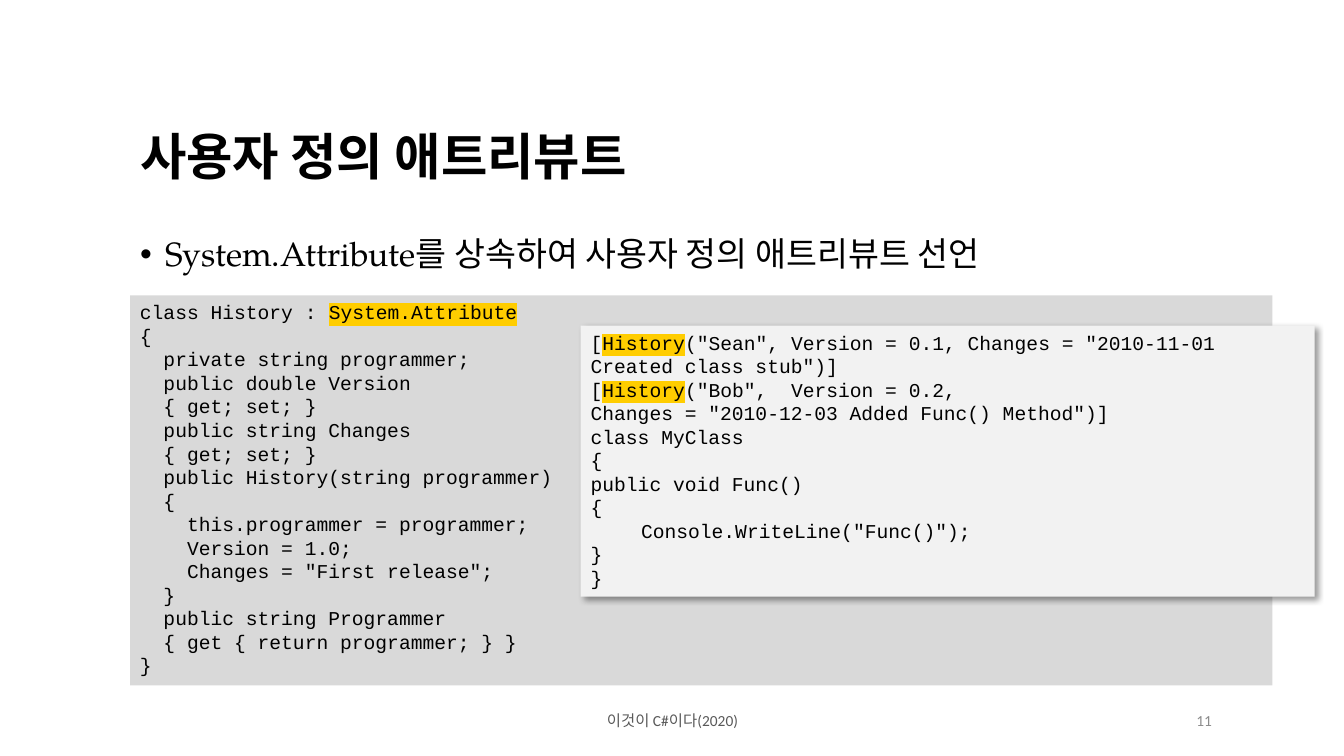
from lxml.etree import SubElement
from pptx import Presentation
from pptx.dml.color import RGBColor
from pptx.enum.shapes import MSO_SHAPE as Preset
from pptx.enum.text import MSO_ANCHOR as Anchor, PP_ALIGN as Align
from pptx.oxml.ns import qn
from pptx.util import Emu, Pt

EMU_PER_PX = 9144
BODY_FONT = "TeX Gyre Pagella"
CODE_FORMAT = {"name": "Courier New", "size": Pt(14)}
HIGHLIGHT = "FFCD00"

HISTORY_CODE = """class History : System.Attribute
{
  private string programmer;
  public double Version
  { get; set; }
  public string Changes
  { get; set; }
  public History(string programmer)
  {
    this.programmer = programmer;
    Version = 1.0;
    Changes = "First release";
  }
  public string Programmer
  { get { return programmer; } }
}"""

USAGE_CODE = """[History("Sean", Version = 0.1, Changes = "2010-11-01 Created class stub")]
[History("Bob",  Version = 0.2,
Changes = "2010-12-03 Added Func() Method")]
class MyClass
{
public void Func()
{
\tConsole.WriteLine("Func()");
}
}"""


def px(*lengths):
    return [Emu(length * EMU_PER_PX) for length in lengths]


def color(value):
    return RGBColor.from_string(value)


def apply_format(target, values):
    for name, value in values.items():
        setattr(target, name, value)


def add_xml(parent, tag, **attributes):
    return SubElement(parent, qn(tag), {key: str(value) for key, value in attributes.items()})


def add_span(para, text, font_format, ink="000000", highlight=None):
    span = para.add_run()
    span.text = text
    apply_format(span.font, font_format)
    span.font.color.rgb = color(ink)
    if highlight:
        props = span.font._element
        mark = add_xml(props, "a:highlight")
        add_xml(mark, "a:srgbClr", val=highlight)
        props.find(qn("a:solidFill")).addnext(mark)


def add_label(page, area, text, font_format, ink="000000", frame_format=None, para_format=None, bullet=None):
    """Add a one-paragraph text box, bulleted when a bullet sign is given."""
    frame = page.shapes.add_textbox(*px(*area)).text_frame
    apply_format(frame, {"word_wrap": True, **(frame_format or {})})
    para = frame.paragraphs[0]
    apply_format(para, para_format or {})
    if bullet:
        props = para._p.get_or_add_pPr()
        indent = px(25)[0]
        props.set("marL", str(indent))
        props.set("indent", str(-indent))
        add_xml(props, "a:buFont", typeface="Arial")
        add_xml(props, "a:buChar", char=bullet)
    add_span(para, text, font_format, ink)


def add_shadow(box):
    effects = box._element.spPr.find(qn("a:effectLst"))
    shadow = add_xml(effects, "a:outerShdw", blurRad=Pt(4), dist=Pt(3), dir=45 * 60000, algn="tl", rotWithShape=0)
    add_xml(add_xml(shadow, "a:srgbClr", val="000000"), "a:alpha", val=40000)


def add_code_box(page, area, code, fill, marked):
    """Add a filled box of code lines, highlighting one word wherever it is marked."""
    box = page.shapes.add_shape(Preset.RECTANGLE, *px(*area))
    box.shadow.inherit = False
    box.fill.solid()
    box.fill.fore_color.rgb = color(fill)
    box.line.fill.background()
    frame = box.text_frame
    apply_format(frame, {"word_wrap": True, "vertical_anchor": Anchor.TOP})
    for number, line in enumerate(code.split("\n")):
        para = frame.add_paragraph() if number else frame.paragraphs[0]
        para.alignment = Align.LEFT
        if "\t" in line:
            tabs = add_xml(para._p.get_or_add_pPr(), "a:tabLst")
            add_xml(tabs, "a:tab", pos=px(50)[0], algn="l")
        before, word, after = line.partition(marked) if number < 2 else (line, "", "")
        for text, highlight in ((before, None), (word, HIGHLIGHT), (after, None)):
            if text:
                add_span(para, text, CODE_FORMAT, highlight=highlight)
    return box


def main():
    deck = Presentation()
    deck.slide_width, deck.slide_height = px(1333, 750)
    page = deck.slides.add_slide(deck.slide_layouts[6])

    footer_font = {"name": "Calibri", "size": Pt(11)}
    middle = {"vertical_anchor": Anchor.MIDDLE}
    add_label(page, (442, 695, 450, 40), "이것이 C#이다(2020)", footer_font, "595959",
              middle, {"alignment": Align.CENTER})
    add_label(page, (942, 695, 270, 40), "11", footer_font, "8C8C8C",
              middle, {"alignment": Align.RIGHT})

    inset = px(10)[0]
    insets = {f"margin_{side}": inset for side in ("left", "top", "right", "bottom")}
    tight = {"line_spacing": 0.9}
    add_label(page, (129, 121, 1048, 80), "사용자 정의 애트리뷰트",
              {"name": BODY_FONT, "size": Pt(36), "bold": True},
              frame_format=insets, para_format=tight)
    add_label(page, (129, 226, 1048, 60), "System.Attribute를 상속하여 사용자 정의 애트리뷰트 선언",
              {"name": BODY_FONT, "size": Pt(24)},
              frame_format=insets, para_format=tight, bullet="•")

    add_code_box(page, (129, 293, 1133, 387), HISTORY_CODE, "D9D9D9", "System.Attribute")
    usage = add_code_box(page, (576, 323, 728, 269), USAGE_CODE, "F2F2F2", "History")
    add_shadow(usage)

    deck.save("out.pptx")


if __name__ == "__main__":
    main()
